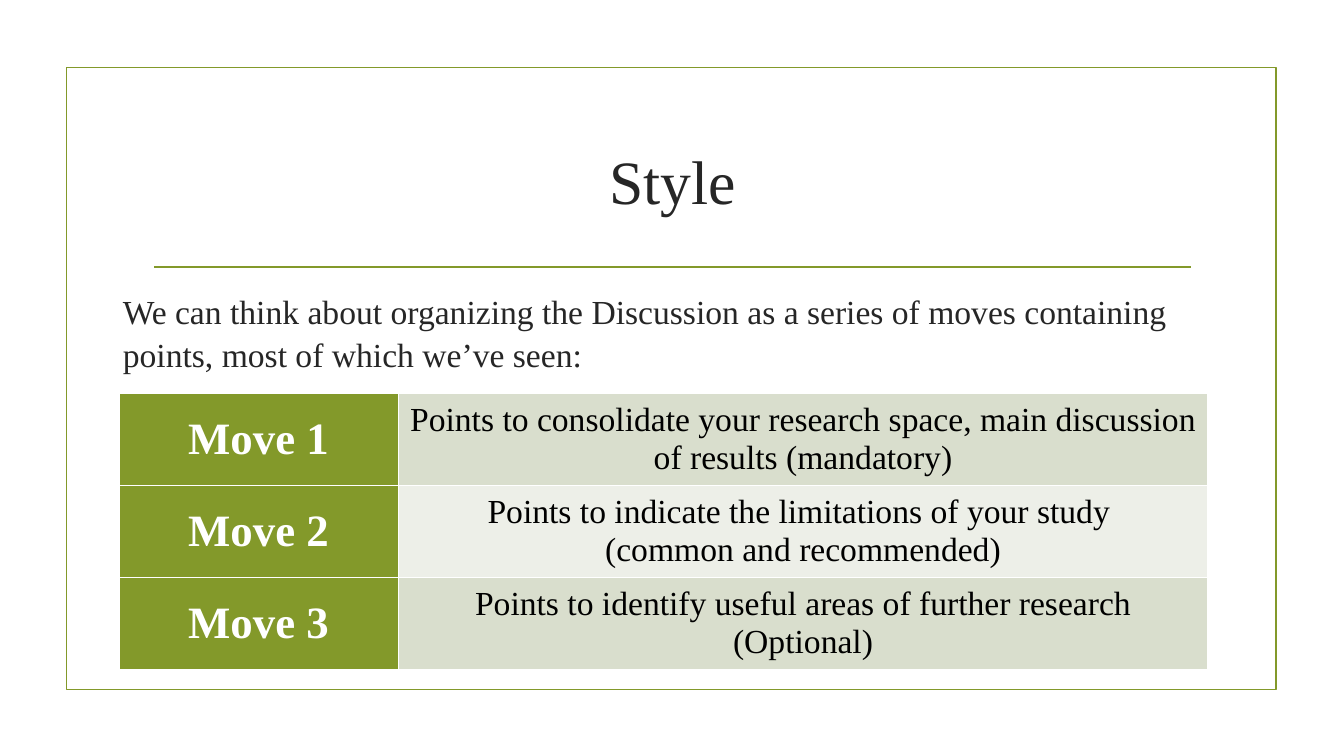
from dataclasses import dataclass

from lxml.etree import SubElement
from pptx import Presentation
from pptx.dml.color import RGBColor
from pptx.enum.shapes import MSO_CONNECTOR, MSO_SHAPE
from pptx.enum.text import MSO_ANCHOR, MSO_AUTO_SIZE, PP_ALIGN
from pptx.oxml.ns import qn
from pptx.util import Inches, Pt

FONT = "Times New Roman"
GREEN = RGBColor(0x83, 0x99, 0x2A)
DARK = RGBColor(0x26, 0x26, 0x26)
BLACK = RGBColor(0x00, 0x00, 0x00)
WHITE = RGBColor(0xFF, 0xFF, 0xFF)
BANDS = (RGBColor(0xD9, 0xDE, 0xCD), RGBColor(0xED, 0xEF, 0xE8))


@dataclass
class Move:
    name: str
    points: str


MOVES = [
    Move("Move 1", "Points to consolidate your research space, main discussion of results (mandatory)"),
    Move("Move 2", "Points to indicate the limitations of your study \n(common and recommended)"),
    Move("Move 3", "Points to identify useful areas of further research (Optional)"),
]


def write(tf, text: str, size: int, color: RGBColor, align=PP_ALIGN.CENTER, bold: bool = False):
    p = tf.paragraphs[0]
    p.text = text
    p.alignment = align
    p.font.name = FONT
    p.font.size = Pt(size)
    p.font.bold = bold
    p.font.color.rgb = color
    return p


def add_frame(s) -> None:
    frame = s.shapes.add_shape(MSO_SHAPE.RECTANGLE, Inches(0.66), Inches(0.67), Inches(12), Inches(6.17))
    frame.shadow.inherit = False
    frame.fill.background()
    frame.line.color.rgb = GREEN
    frame.line.width = Pt(1.25)


def add_rule(s) -> None:
    rule = s.shapes.add_connector(
        MSO_CONNECTOR.STRAIGHT, Inches(1.53), Inches(2.65), Inches(11.81), Inches(2.65))
    rule.line.color.rgb = GREEN
    rule.line.width = Pt(1.25)
    SubElement(rule._element.spPr, qn("a:effectLst"))


def add_title(s) -> None:
    title = s.shapes.title
    title.left, title.top = Inches(1.42), Inches(1.07)
    title.width, title.height = Inches(10.5), Inches(1.43)
    tf = title.text_frame
    tf.auto_size = MSO_AUTO_SIZE.NONE
    tf.vertical_anchor = MSO_ANCHOR.MIDDLE
    write(tf, "Style", 44, DARK)


def add_intro(s) -> None:
    tf = s.shapes.add_textbox(Inches(1.12), Inches(2.8), Inches(10.8), Inches(0.95)).text_frame
    tf.word_wrap = True
    p = write(
        tf,
        "We can think about organizing the Discussion as a series of moves containing points, "
        "most of which we’ve seen:",
        24, DARK, PP_ALIGN.LEFT)
    p.line_spacing = 1.08
    p.space_after = Pt(6)


def fill_cell(cell, text: str, size: int, color: RGBColor, fill: RGBColor, bold: bool) -> None:
    cell.vertical_anchor = MSO_ANCHOR.MIDDLE
    write(cell.text_frame, text, size, color, bold=bold)
    tc_pr = cell._tc.get_or_add_tcPr()
    for side in ("lnL", "lnR", "lnT", "lnB"):
        ln = SubElement(tc_pr, qn(f"a:{side}"), w=str(Pt(1)))
        SubElement(SubElement(ln, qn("a:solidFill")), qn("a:srgbClr"), val=str(WHITE))
    cell.fill.solid()
    cell.fill.fore_color.rgb = fill


def add_moves(s) -> None:
    table = s.shapes.add_table(
        len(MOVES), 2, Inches(1.18), Inches(3.9), Inches(10.8), Inches(2.74)).table
    table.first_row = False
    table.horz_banding = False
    table.columns[0].width = Inches(2.77)
    table.columns[1].width = Inches(8.03)
    for i, move in enumerate(MOVES):
        fill_cell(table.cell(i, 0), move.name, 32, WHITE, GREEN, True)
        fill_cell(table.cell(i, 1), move.points, 24, BLACK, BANDS[i % 2], False)


def main() -> None:
    prs = Presentation()
    prs.slide_width, prs.slide_height = Inches(13.33), Inches(7.5)
    s = prs.slides.add_slide(prs.slide_layouts[5])
    add_frame(s)
    add_rule(s)
    add_title(s)
    add_intro(s)
    add_moves(s)
    prs.save("out.pptx")


if __name__ == "__main__":
    main()
